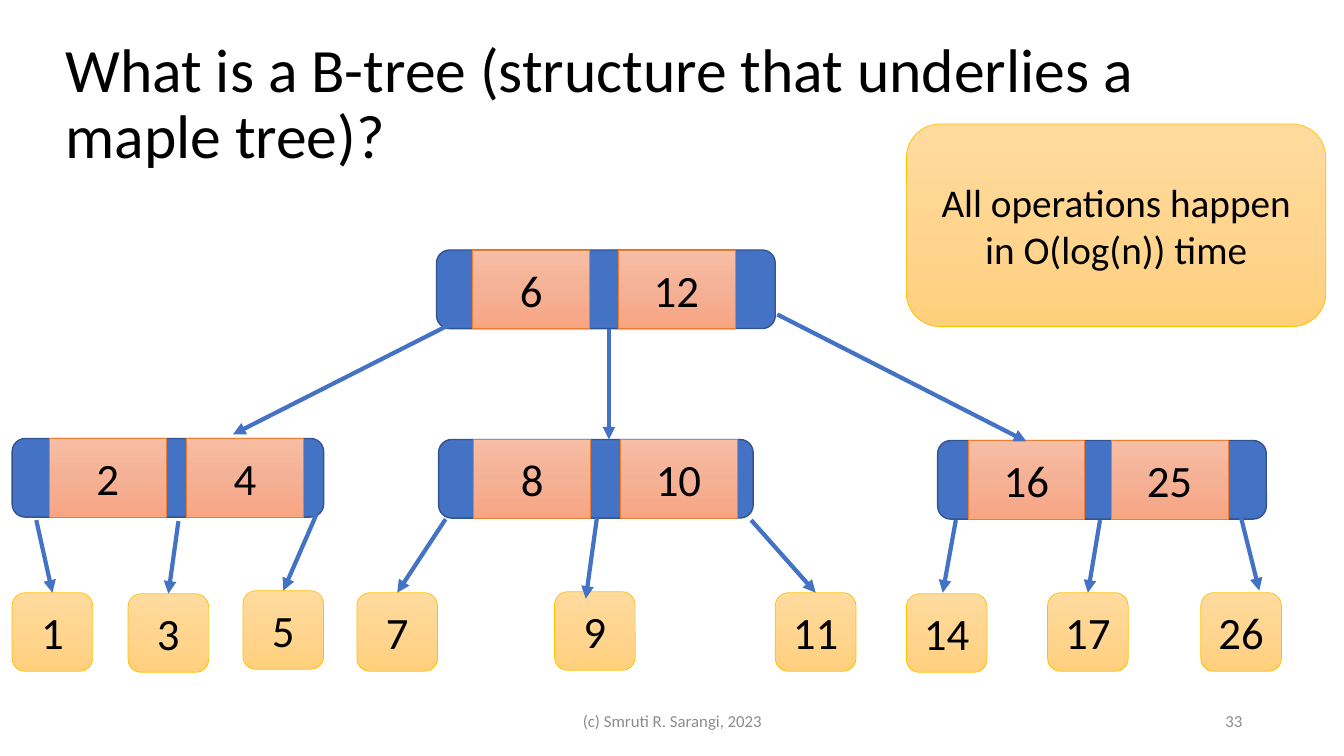
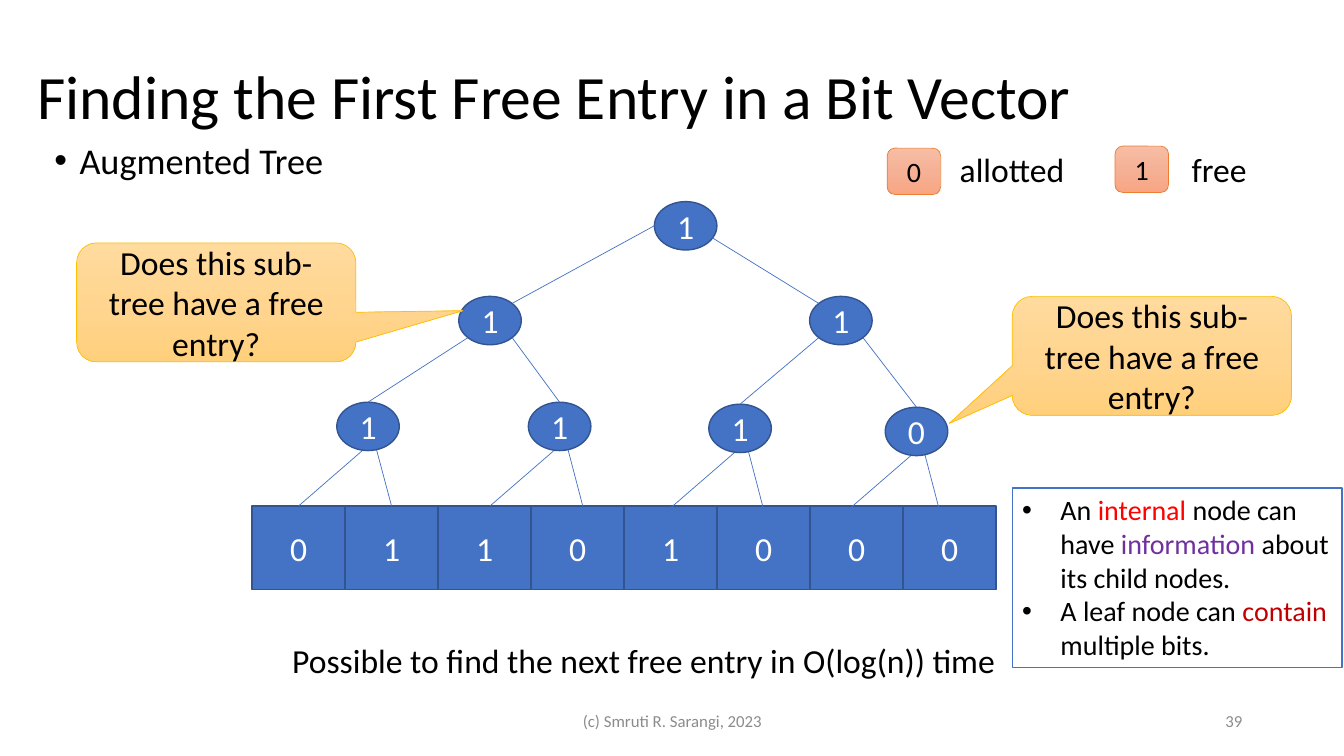
"""Two slides on tree structures: a B-tree and an augmented bit-vector tree."""
from copy import deepcopy

from pptx import Presentation
from pptx.dml.color import RGBColor
from pptx.enum.shapes import MSO_CONNECTOR, MSO_SHAPE
from pptx.enum.text import MSO_ANCHOR, MSO_AUTO_SIZE, PP_ALIGN
from pptx.oxml.ns import qn
from pptx.util import Inches, Pt

FONT = "Calibri"
BLACK = RGBColor(0x00, 0x00, 0x00)
WHITE = RGBColor(0xFF, 0xFF, 0xFF)
GRAY = RGBColor(0x8C, 0x8C, 0x8C)
BLUE = RGBColor(0x44, 0x72, 0xC4)
NAVY = RGBColor(0x32, 0x54, 0x91)
RED = RGBColor(0xFF, 0x00, 0x00)
DARK_RED = RGBColor(0xC0, 0x00, 0x00)
PURPLE = RGBColor(0x70, 0x30, 0xA0)
ORANGE = RGBColor(0xED, 0x7D, 0x31)
GOLD = RGBColor(0xFF, 0xC0, 0x00)
SALMON = [RGBColor(0xF7, 0xBD, 0xA5), RGBColor(0xF5, 0xB1, 0x96), RGBColor(0xF8, 0xA5, 0x82)]
AMBER = [RGBColor(0xFF, 0xDB, 0x9E), RGBColor(0xFF, 0xD5, 0x90), RGBColor(0xFF, 0xD0, 0x7C)]

NODE_STYLE = {"fill": BLUE, "line": NAVY, "weight": 1}
KEY_STYLE = {"fill": SALMON, "line": ORANGE}
NOTE_STYLE = {"fill": AMBER, "line": GOLD}
CENTER = {"align": PP_ALIGN.CENTER, "anchor": MSO_ANCHOR.MIDDLE}

FOOTER = "(c) Smruti R. Sarangi, 2023"
BTREE_TITLE = "What is a B-tree (structure that underlies a maple tree)?"
BTREE_NOTE = "All operations happen in O(log(n)) time"
KEY_W, BOX_H, LEAF_W = 1.16, 0.78, 0.8
BTREE_NODES = [
    (4.33, 2.48, 3.36, [(4.69, "6"), (6.13, "12")]),
    (0.12, 4.35, 3.09, [(0.49, "2"), (1.85, "4")]),
    (4.35, 4.36, 3.12, [(4.7, "8"), (6.15, "10")]),
    (9.3, 4.37, 3.26, [(9.6, "16"), (11.02, "25")]),
]
BTREE_LEAVES = [
    (0.12, 5.88, "1"), (1.27, 5.89, "3"), (2.41, 5.86, "5"),
    (3.54, 5.88, "7"), (5.5, 5.87, "9"), (7.69, 5.88, "11"),
    (8.99, 5.89, "14"), (10.39, 5.88, "17"), (11.91, 5.88, "26"),
]
ROOT_ARROWS = [((4.54, 3.18), (2.31, 4.31)), ((6.04, 3.26), (6.04, 4.36)),
               ((7.71, 3.12), (10.18, 4.38))]
LEAF_ARROWS = [
    ((0.36, 5.16), None), ((1.77, 5.17), None), ((3.14, 5.1), None),
    ((4.42, 5.15), None), ((5.92, 5.14), (5.81, 5.94)), ((7.45, 5.16), None),
    ((9.48, 5.16), (9.35, 5.88)), ((10.91, 5.16), None), ((12.31, 5.14), (12.49, 5.86)),
]

BITS_TITLE = "Finding the First Free Entry in a Bit Vector"
BITS = "01101000"
BIT_X, BIT_Y, BIT_W, BIT_H = 2.5, 5.02, 0.9225, 0.83
OVAL_W, OVAL_H = 0.62, 0.48
LOW_OVALS = [(3.34, 3.99, "1"), (5.24, 3.99, "1"), (7.03, 4.01, "1"), (8.78, 4.04, "0")]
MID_OVALS = [(4.55, 2.94, "1"), (8.03, 2.94, "1")]
TOP_OVAL = (6.49, 2, "1")
QUESTION = "Does this sub-tree have a free entry?"
CALLOUTS = [(10.04, 2.94, (-0.726, 0.569, 0.167)), (0.76, 2.41, (0.883, 0.07, 0.167))]
LEGEND = [(8.8, 1.47, "0", 9.42, "allotted"), (11.06, 1.45, "1", 11.72, "free")]
RESULT = "Possible to find the next free entry in O(log(n)) time"
INFO = [
    ["An ", ("internal", RED), " node can\nhave ", ("information", PURPLE),
     " about\nits child nodes."],
    ["A leaf node can ", ("contain\n", DARK_RED), "multiple bits."],
]


def put(sp, text, size=24, color=BLACK, align=PP_ALIGN.LEFT, anchor=MSO_ANCHOR.TOP,
        spacing=None, bullet=None, wrap=True, grow=False):
    """Fill a shape with a string, or with paragraphs made of runs."""
    tf = sp.text_frame
    tf.word_wrap = wrap
    tf.vertical_anchor = anchor
    tf.auto_size = MSO_AUTO_SIZE.SHAPE_TO_FIT_TEXT if grow else MSO_AUTO_SIZE.NONE
    for i, runs in enumerate([[text]] if isinstance(text, str) else text):
        p = tf.add_paragraph() if i else tf.paragraphs[0]
        p.alignment = align
        if spacing:
            p.line_spacing = spacing
        if bullet:
            pPr = p._p.get_or_add_pPr()
            pPr.set("marL", str(Inches(bullet)))
            pPr.set("indent", str(-Inches(bullet)))
            pPr.append(pPr.makeelement(qn("a:buFont"), {"typeface": "Arial"}))
            pPr.append(pPr.makeelement(qn("a:buChar"), {"char": "•"}))
        for run in runs:
            words, tint = (run, color) if isinstance(run, str) else run
            for j, part in enumerate(words.split("\n")):
                if j:
                    p.add_line_break()
                if part:
                    r = p.add_run()
                    r.text = part
                    r.font.name, r.font.size, r.font.color.rgb = FONT, Pt(size), tint


def label(s, x, y, w, h, text, **fmt):
    """Add a text box."""
    put(s.shapes.add_textbox(*map(Inches, (x, y, w, h))), text, **fmt)


def box(s, kind, x, y, w, h, text="", fill=WHITE, line=BLUE, weight=0.5, **fmt):
    """Add a filled, outlined shape; a list of three colours makes a gradient."""
    sp = s.shapes.add_shape(kind, *map(Inches, (x, y, w, h)))
    sp.shadow.inherit = False
    if isinstance(fill, list):
        sp.fill.gradient()
        sp.fill.gradient_angle = 270
        stops = sp._element.spPr.find(".//" + qn("a:gsLst"))
        stops.insert(1, deepcopy(stops[0]))
        for i, stop in enumerate(sp.fill.gradient_stops):
            stop.color.rgb, stop.position = fill[i], i / 2
    else:
        sp.fill.solid()
        sp.fill.fore_color.rgb = fill
    sp.line.color.rgb, sp.line.width = line, Pt(weight)
    if text:
        put(sp, text, **fmt)
    return sp


def join(s, start, end, weight=0.5, arrow=False, begin_top=None, end_top=None):
    """Draw a connector, optionally glued to the top middle of shapes."""
    c = s.shapes.add_connector(MSO_CONNECTOR.STRAIGHT, *map(Inches, (*start, *end)))
    c.line.color.rgb, c.line.width = BLUE, Pt(weight)
    spPr = c._element.spPr
    if arrow:
        ln = c.line._get_or_add_ln()
        ln.append(ln.makeelement(qn("a:tailEnd"), {"type": "triangle"}))
    spPr.append(spPr.makeelement(qn("a:effectLst"), {}))
    if begin_top is not None:
        c.begin_connect(begin_top, 0)
    if end_top is not None:
        c.end_connect(end_top, 0)


def new_slide(prs, title, x, y, number):
    """Start a slide with its title, footer and number."""
    s = prs.slides.add_slide(prs.slide_layouts[6])
    label(s, x, y, 11.5, 1.45, title, size=44, anchor=MSO_ANCHOR.MIDDLE, spacing=0.9)
    label(s, 4.42, 6.95, 4.5, 0.4, FOOTER, size=12, color=GRAY, **CENTER)
    label(s, 9.42, 6.95, 3, 0.4, number, size=12, color=GRAY,
          align=PP_ALIGN.RIGHT, anchor=MSO_ANCHOR.MIDDLE)
    return s


def btree_slide(prs):
    """Draw the B-tree."""
    s = new_slide(prs, BTREE_TITLE, 0.55, 0.32, "33")
    for x, y, w, keys in BTREE_NODES:
        box(s, MSO_SHAPE.ROUNDED_RECTANGLE, x, y, w, BOX_H, **NODE_STYLE)
        for key_x, key in keys:
            box(s, MSO_SHAPE.RECTANGLE, key_x, y, KEY_W, BOX_H, key, size=32,
                **KEY_STYLE, **CENTER)
    for start, end in ROOT_ARROWS:
        join(s, start, end, 3, arrow=True)
    for (x, y, key), (start, end) in zip(BTREE_LEAVES, LEAF_ARROWS):
        leaf = box(s, MSO_SHAPE.ROUNDED_RECTANGLE, x, y, LEAF_W, BOX_H, key, size=32,
                   **NOTE_STYLE, **CENTER)
        join(s, start, end or (x + LEAF_W / 2, y), 3, arrow=True,
             end_top=None if end else leaf)
    box(s, MSO_SHAPE.ROUNDED_RECTANGLE, 8.99, 1.23, 4.16, 2.01, BTREE_NOTE, size=28,
        **NOTE_STYLE, **CENTER)


def oval(s, x, y, bit):
    """Add a tree node holding one bit."""
    return box(s, MSO_SHAPE.OVAL, x, y, OVAL_W, OVAL_H, bit, color=WHITE,
               **NODE_STYLE, **CENTER)


def rim(x, y, dx, dy):
    """Return the diagonal rim point of an oval, dx and dy being -1 or 1."""
    return x + OVAL_W / 2 * (1 + 0.71 * dx), y + OVAL_H / 2 * (1 + 0.71 * dy)


def bits_slide(prs):
    """Draw the augmented tree over the bit vector."""
    s = new_slide(prs, BITS_TITLE, 0.27, 0.26, "39")
    label(s, 0.44, 1.41, 3.52, 0.48, "Augmented Tree", size=25.9, spacing=0.8, bullet=0.25)
    cells = [box(s, MSO_SHAPE.RECTANGLE, BIT_X + i * BIT_W, BIT_Y, BIT_W, BIT_H, bit,
                 color=WHITE, **NODE_STYLE, **CENTER) for i, bit in enumerate(BITS)]
    low = []
    for i, (x, y, bit) in enumerate(LOW_OVALS):
        hub = x + 0.37, y + 0.38
        for cell, dx in zip(cells[2 * i:2 * i + 2], (-0.75, 0.17)):
            join(s, (hub[0] + dx, y + 1.03), hub, begin_top=None if i else cell)
        low.append(oval(s, x, y, bit))
    for i, (x, y, bit) in enumerate(MID_OVALS):
        oval(s, x, y, bit)
        for child, side in zip(low[2 * i:2 * i + 2], (-1, 1)):
            start = rim(x, y, side, 1)
            join(s, start, start, end_top=child)
    x, y, bit = TOP_OVAL
    oval(s, x, y, bit)
    join(s, (x, y + OVAL_H / 2), rim(*MID_OVALS[0][:2], 1, -1))
    join(s, (7.05, 2.35), rim(*MID_OVALS[1][:2], -1, -1))
    for x, y, adj in CALLOUTS:
        sp = box(s, MSO_SHAPE.ROUNDED_RECTANGULAR_CALLOUT, x, y, 2.77, 1.18, QUESTION,
                 **NOTE_STYLE, **CENTER)
        for i, value in enumerate(adj):
            sp.adjustments[i] = value
    for x, y, bit, word_x, word in LEGEND:
        box(s, MSO_SHAPE.ROUNDED_RECTANGLE, x, y, 0.53, 0.46, bit, size=20,
            **KEY_STYLE, **CENTER)
        label(s, word_x, 1.43, 1.35, 0.5, word, grow=True)
    label(s, 2.8, 6.3, 7.24, 0.5, RESULT, wrap=False, grow=True)
    box(s, MSO_SHAPE.RECTANGLE, 10.04, 4.84, 3.27, 1.78, INFO, weight=1, size=20,
        bullet=0.38, wrap=False, grow=True)


def main():
    """Build and save the deck."""
    prs = Presentation()
    prs.slide_width, prs.slide_height = Inches(13.33), Inches(7.5)
    btree_slide(prs)
    bits_slide(prs)
    prs.save("out.pptx")


if __name__ == "__main__":
    main()
